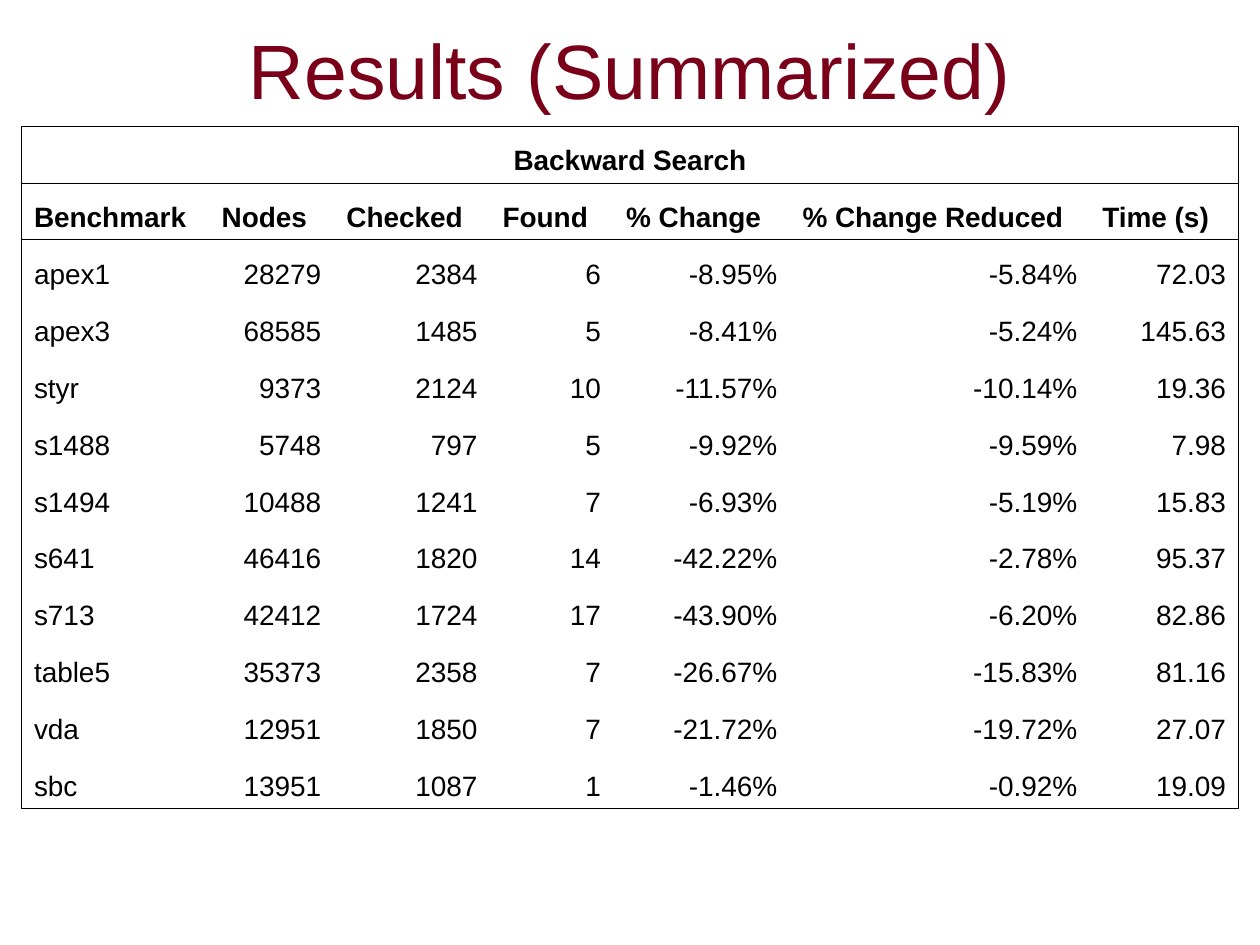
from lxml.etree import SubElement
from pptx import Presentation
from pptx.dml.color import RGBColor
from pptx.enum.text import MSO_ANCHOR, MSO_AUTO_SIZE, PP_ALIGN
from pptx.oxml.ns import qn
from pptx.util import Inches, Pt

BLACK = "000000"
MAROON = "7A0019"
COLUMN_WIDTHS = [1.49, 0.99, 1.24, 0.98, 1.4, 2.38, 1.18]
HEADINGS = ["Benchmark", "Nodes", "Checked", "Found", "% Change", "% Change Reduced", "Time (s)"]
RESULTS = [
    ["apex1", "28279", "2384", "6", "-8.95%", "-5.84%", "72.03"],
    ["apex3", "68585", "1485", "5", "-8.41%", "-5.24%", "145.63"],
    ["styr", "9373", "2124", "10", "-11.57%", "-10.14%", "19.36"],
    ["s1488", "5748", "797", "5", "-9.92%", "-9.59%", "7.98"],
    ["s1494", "10488", "1241", "7", "-6.93%", "-5.19%", "15.83"],
    ["s641", "46416", "1820", "14", "-42.22%", "-2.78%", "95.37"],
    ["s713", "42412", "1724", "17", "-43.90%", "-6.20%", "82.86"],
    ["table5", "35373", "2358", "7", "-26.67%", "-15.83%", "81.16"],
    ["vda", "12951", "1850", "7", "-21.72%", "-19.72%", "27.07"],
    ["sbc", "13951", "1087", "1", "-1.46%", "-0.92%", "19.09"],
]


def rgb(color):
    return RGBColor.from_string(color)


def write_text(frame, text, size=16, color=BLACK, bold=False, align=PP_ALIGN.LEFT):
    paragraph = frame.paragraphs[0]
    paragraph.alignment = align
    run = paragraph.add_run()
    run.text = text
    run.font.name = "Arial"
    run.font.size = Pt(size)
    run.font.bold = bold
    run.font.color.rgb = rgb(color)


def set_borders(cell, left, right, top, bottom):
    properties = cell._tc.get_or_add_tcPr()
    for tag, visible in (("a:lnL", left), ("a:lnR", right), ("a:lnT", top), ("a:lnB", bottom)):
        line = SubElement(properties, qn(tag), w=str(Pt(0.45)))
        if visible:
            fill = SubElement(line, qn("a:solidFill"))
            SubElement(fill, qn("a:srgbClr"), val=BLACK)
        else:
            SubElement(line, qn("a:noFill"))


def add_title(slide, text):
    title = slide.shapes.title
    title.left, title.top = Inches(0.75), Inches(-0.08)
    title.width, title.height = Inches(8.5), Inches(1.25)
    frame = title.text_frame
    frame.auto_size = MSO_AUTO_SIZE.NONE
    frame.vertical_anchor = MSO_ANCHOR.MIDDLE
    write_text(frame, text, size=44, color=MAROON, align=PP_ALIGN.CENTER)


def cell_align(row, column):
    if row == 0:
        return PP_ALIGN.CENTER
    return PP_ALIGN.RIGHT if row > 1 and column > 0 else PP_ALIGN.LEFT


def add_results_table(slide, caption):
    rows = [[caption], HEADINGS, *RESULTS]
    last_row, last_column = len(rows) - 1, len(HEADINGS) - 1
    table = slide.shapes.add_table(
        len(rows), len(HEADINGS), Inches(0.17), Inches(1), Inches(sum(COLUMN_WIDTHS)), Inches(5.42)
    ).table
    table.first_row = table.horz_banding = False
    for column, width in zip(table.columns, COLUMN_WIDTHS):
        column.width = Inches(width)
    table.cell(0, 0).merge(table.cell(0, last_column))
    for row, texts in enumerate(rows):
        for column in range(len(HEADINGS)):
            cell = table.cell(row, column)
            set_borders(
                cell,
                left=column == 0,
                right=column == last_column or row == 0,
                top=row <= 2,
                bottom=row <= 1 or row == last_row,
            )
            cell.fill.background()
            cell.vertical_anchor = MSO_ANCHOR.BOTTOM
            if column < len(texts):
                write_text(cell.text_frame, texts[column], bold=row <= 1, align=cell_align(row, column))


def main():
    presentation = Presentation()
    presentation.slide_width, presentation.slide_height = Inches(10), Inches(7.5)
    slide = presentation.slides.add_slide(presentation.slide_layouts[5])
    add_title(slide, "Results (Summarized)")
    add_results_table(slide, "Backward Search")
    presentation.save("out.pptx")


if __name__ == "__main__":
    main()
